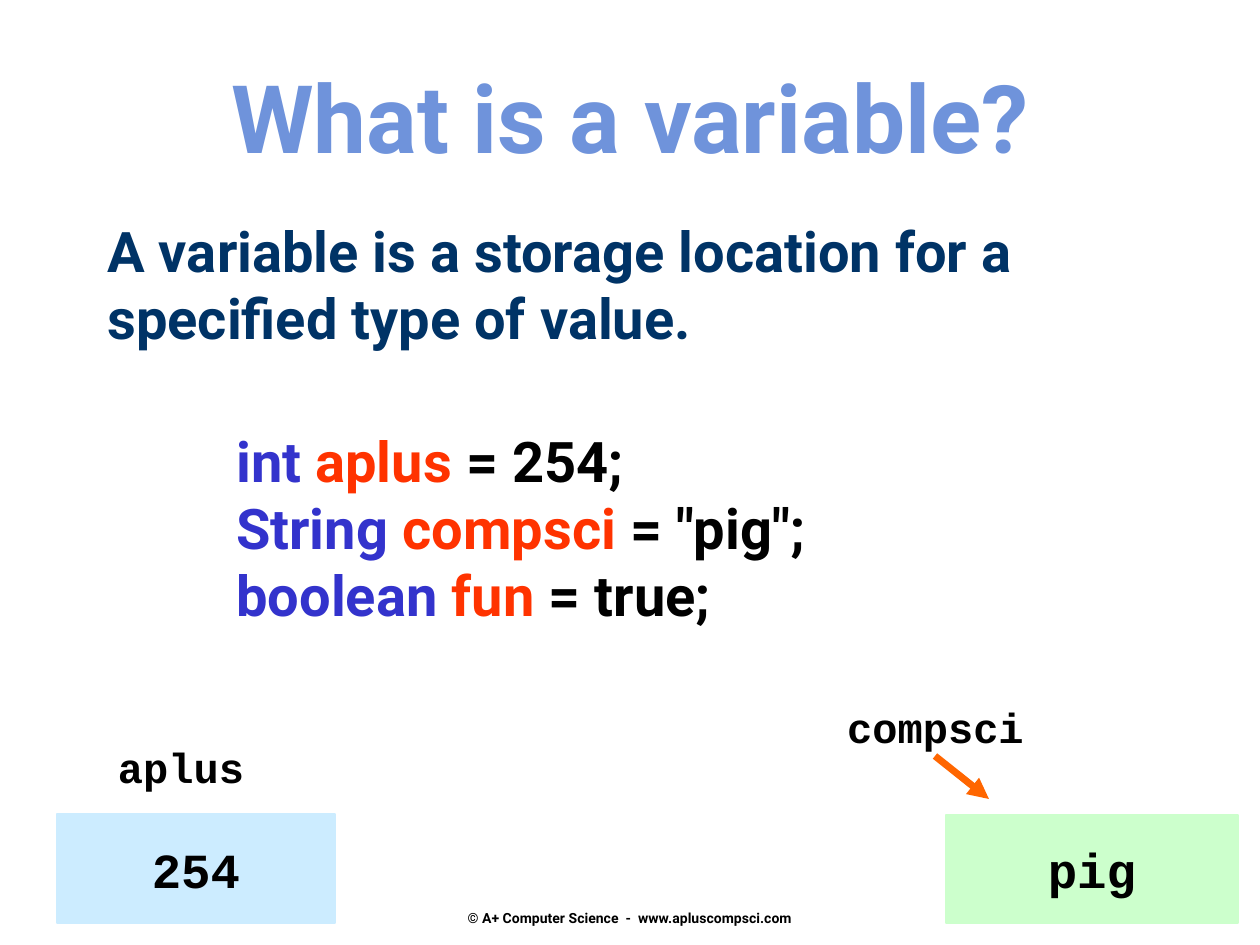
"""Build a slide that explains what a variable is."""
from lxml.etree import SubElement
from pptx import Presentation
from pptx.dml.color import RGBColor
from pptx.enum.shapes import MSO_CONNECTOR, MSO_SHAPE
from pptx.enum.text import MSO_ANCHOR, PP_ALIGN
from pptx.oxml.ns import qn
from pptx.util import Emu, Pt

EMU_PER_PX = 914400 / 126
SANS, MONO = "Roboto", "Courier New"
BLACK, NAVY, TITLE_BLUE = "000000", "003366", "6F93DB"
KEYWORD, NAME = "3333CC", "FF3300"
VALUE_BLUE, VALUE_GREEN, ARROW = "CCECFF", "CCFFCC", "FF6600"


def px(length):
    return Emu(round(length * EMU_PER_PX))


def color(code):
    return RGBColor.from_string(code)


class SlideBuilder:
    def __init__(self, slide):
        self.slide = slide

    def fill_text(self, shape, lines, size, font, align, wrap, anchor):
        frame = shape.text_frame
        frame.word_wrap = wrap
        frame.vertical_anchor = anchor
        for index, line in enumerate(lines):
            paragraph = frame.paragraphs[0] if index == 0 else frame.add_paragraph()
            paragraph.alignment = align
            for text, code in line:
                run = paragraph.add_run()
                run.text = text
                run.font.name = font
                run.font.size = Pt(size)
                run.font.bold = True
                run.font.color.rgb = color(code)

    def text(self, box, lines, size, font=SANS, align=PP_ALIGN.CENTER,
             wrap=False, anchor=MSO_ANCHOR.TOP):
        shape = self.slide.shapes.add_textbox(*map(px, box))
        self.fill_text(shape, lines, size, font, align, wrap, anchor)

    def value_box(self, box, text, fill):
        shape = self.slide.shapes.add_shape(MSO_SHAPE.RECTANGLE, *map(px, box))
        shape.shadow.inherit = False
        shape.fill.solid()
        shape.fill.fore_color.rgb = color(fill)
        shape.line.color.rgb = color(fill)
        shape.line.width = Pt(1)
        self.fill_text(shape, [[(text, BLACK)]], 28, MONO, PP_ALIGN.CENTER,
                       False, MSO_ANCHOR.MIDDLE)

    def arrow(self, start, end, code, width):
        connector = self.slide.shapes.add_connector(
            MSO_CONNECTOR.STRAIGHT, *map(px, start + end))
        connector.line.color.rgb = color(code)
        connector.line.width = Pt(width)
        properties = connector._element.spPr
        SubElement(properties.find(qn("a:ln")), qn("a:tailEnd"), type="triangle")
        SubElement(properties, qn("a:effectLst"))


def main():
    presentation = Presentation()
    presentation.slide_width = px(1260)
    presentation.slide_height = px(945)
    slide = presentation.slides.add_slide(presentation.slide_layouts[6])
    builder = SlideBuilder(slide)

    builder.text((0, 53, 1260, 127), [[("What is a variable?", TITLE_BLUE)]], 54, wrap=True)
    definition = ["A variable is a storage location for a", "specified type of value."]
    builder.text((95, 210, 1071, 147), [[(line, NAVY)] for line in definition], 32,
                 align=PP_ALIGN.LEFT, wrap=True)

    declarations = [("int ", "aplus ", "= 254;"),
                    ("String ", "compsci ", '= "pig";'),
                    ("boolean ", "fun ", "= true;")]
    code = [[(" ", BLACK), (kind, KEYWORD), (name, NAME), (value, BLACK)]
            for kind, name, value in declarations]
    builder.text((210, 420, 704, 217), code, 32, align=PP_ALIGN.LEFT, wrap=True)

    builder.text((105, 735, 152, 64), [[("aplus", BLACK)]], 24, MONO)
    builder.value_box((57, 814, 278, 109), "254", VALUE_BLUE)
    builder.text((834, 695, 203, 64), [[("compsci", BLACK)]], 24, MONO)
    builder.value_box((946, 815, 292, 108), "pig", VALUE_GREEN)
    builder.arrow((935, 756), (989, 799), ARROW, 4)

    builder.text((430, 900, 400, 36),
                 [[("© A+ Computer Science  -  www.apluscompsci.com", BLACK)]], 8,
                 anchor=MSO_ANCHOR.MIDDLE)
    presentation.save("out.pptx")


if __name__ == "__main__":
    main()
